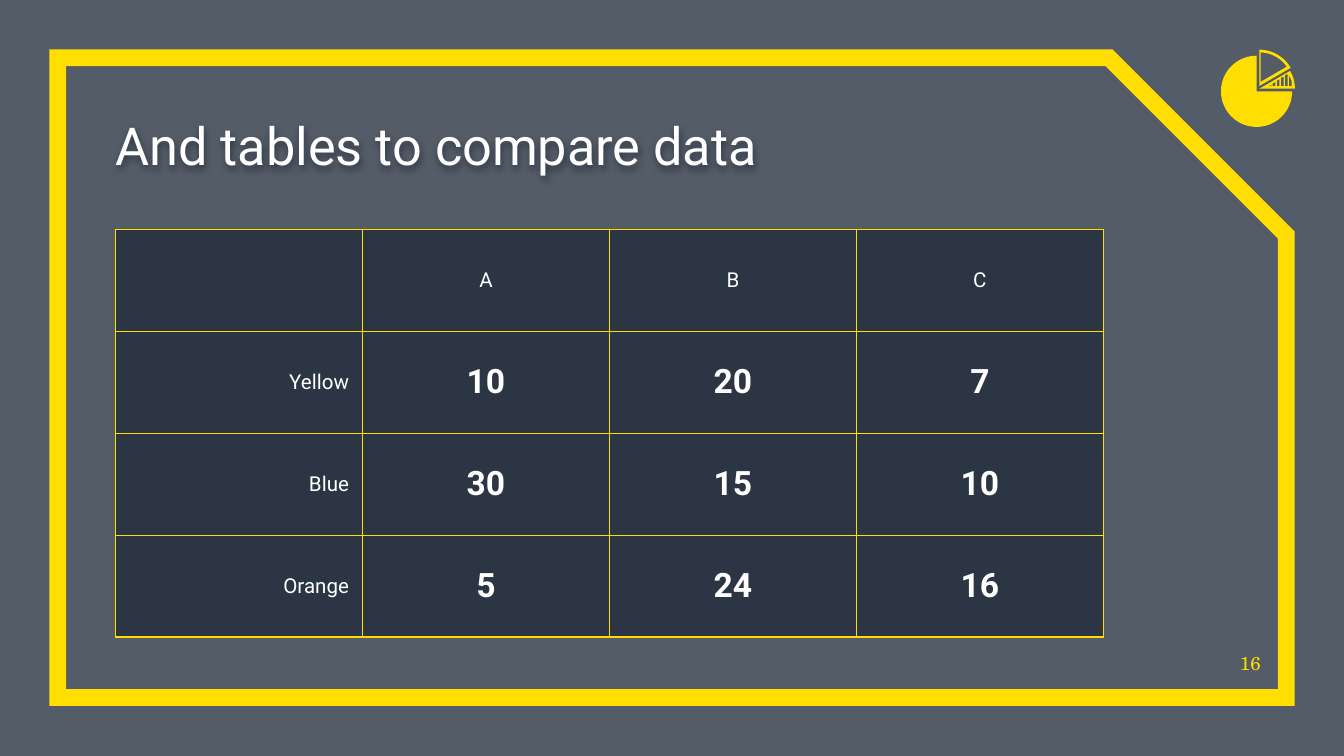
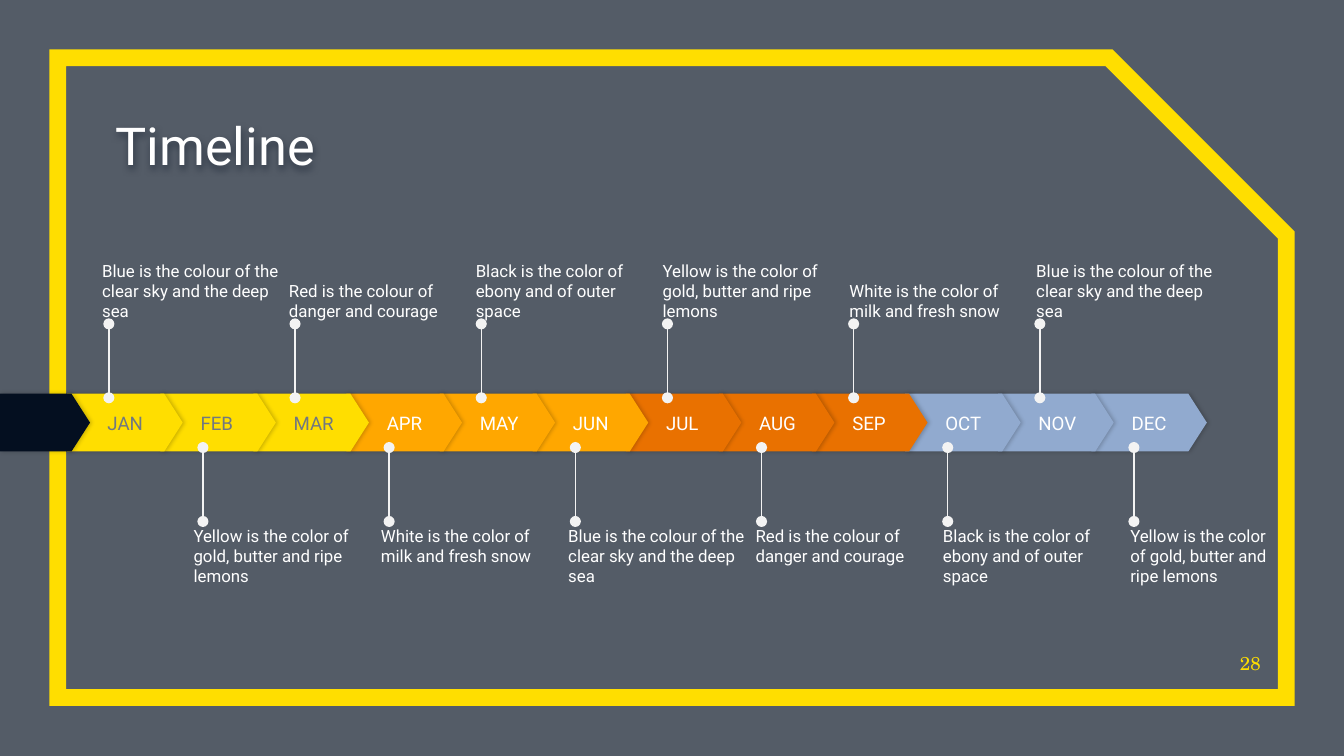
from dataclasses import dataclass
from math import cos, radians, sin

from lxml.etree import SubElement
from pptx import Presentation
from pptx.dml.color import RGBColor
from pptx.enum.shapes import MSO_CONNECTOR as Connector, MSO_SHAPE as Preset
from pptx.enum.text import MSO_ANCHOR as Anchor, PP_ALIGN as Align
from pptx.oxml.ns import qn
from pptx.util import Inches, Pt

COLORS = {
    "navy": "040F20",
    "yellow": "FFDE00",
    "amber": "FFA700",
    "orange": "E97100",
    "blue": "91AACF",
    "white": "FFFFFF",
    "grey": "717881",
    "stem": "F3F3F3",
    "black": "000000",
}
SANS = "Roboto"
SERIF = "TeX Gyre Schola"
PAGE_WIDTH = 10
PAGE_HEIGHT = PAGE_WIDTH * 9 / 16
MONTH_STEP = 7.62 / 11
CALLOUT_RIGHT = 9.5

SKY = "Blue is the colour of the clear sky and the deep sea"
DANGER = "Red is the colour of danger and courage"
EBONY = "Black is the color of ebony and of outer space"
GOLD = "Yellow is the color of gold, butter and ripe lemons"
MILK = "White is the color of milk and fresh snow"


@dataclass(frozen=True)
class Style:
    size: float
    color: str = "white"
    face: str = SANS
    bold: bool = False
    align: Align = Align.LEFT


@dataclass(frozen=True)
class Shadow:
    color: str
    alpha: int
    blur: float
    distance: float
    angle: int


@dataclass(frozen=True)
class Quarter:
    months: tuple[str, str, str]
    fill: str
    ink: str = "white"


@dataclass(frozen=True)
class CalloutRow:
    texts: tuple[str, ...]
    stem_left: float
    stem_start: float
    stem_end: float
    first_left: float
    last_left: float
    text_top: float
    anchor: Anchor


TITLE = Style(28)
NUMBER = Style(10, "yellow", SERIF, align=Align.RIGHT)
CALLOUT = Style(9)
COLUMN_LABEL = Style(11, align=Align.CENTER)
ROW_LABEL = Style(11, align=Align.RIGHT)
FIGURE = Style(18, bold=True, align=Align.CENTER)
TITLE_SHADOW = Shadow("navy", 50, 4, 1.5, 90)
ARROW_SHADOW = Shadow("black", 20, 2.2, 0.8, 0)

TABLE_ROWS = (
    ("", "A", "B", "C"),
    ("Yellow", "10", "20", "7"),
    ("Blue", "30", "15", "10"),
    ("Orange", "5", "24", "16"),
)
QUARTERS = (
    Quarter(("JAN", "FEB", "MAR"), "yellow", "grey"),
    Quarter(("APR", "MAY", "JUN"), "amber"),
    Quarter(("JUL", "AUG", "SEP"), "orange"),
    Quarter(("OCT", "NOV", "DEC"), "blue"),
)
CALLOUT_ROWS = (
    CalloutRow((SKY, DANGER, EBONY, GOLD, MILK, SKY),
               0.81, 2.96, 2.41, 0.76, 7.71, 1.81, Anchor.BOTTOM),
    CalloutRow((GOLD, MILK, SKY, DANGER, EBONY, GOLD),
               1.51, 3.88, 3.33, 1.44, 8.41, 3.91, Anchor.TOP),
)


def rgb(name: str) -> RGBColor:
    return RGBColor.from_string(COLORS[name])


def add_alpha(element, percent: int) -> None:
    color = next(element.iter(qn("a:srgbClr")))
    SubElement(color, qn("a:alpha"), val=str(percent * 1000))


def add_shadow(shape, shadow: Shadow) -> None:
    shape.shadow.inherit = False
    effects = shape.element.spPr.find(qn("a:effectLst"))
    outer = SubElement(effects, qn("a:outerShdw"), blurRad=str(Pt(shadow.blur)),
                       dist=str(Pt(shadow.distance)), dir=str(shadow.angle * 60000),
                       algn="bl", rotWithShape="0")
    SubElement(outer, qn("a:srgbClr"), val=COLORS[shadow.color])
    add_alpha(outer, shadow.alpha)


def write(frame, text: str, style: Style) -> None:
    para = frame.paragraphs[0]
    para.text = text
    para.alignment = style.align
    font = para.font
    font.name, font.size, font.bold = style.face, Pt(style.size), style.bold
    font.color.rgb = rgb(style.color)


def set_frame(frame, anchor: Anchor, left: float = 0) -> None:
    frame.word_wrap = True
    frame.vertical_anchor = anchor
    frame.margin_left = Inches(left)
    frame.margin_top = frame.margin_right = frame.margin_bottom = 0


def add_text(page, left: float, top: float, width: float, height: float,
             text: str, style: Style, anchor: Anchor = Anchor.BOTTOM):
    box = page.shapes.add_textbox(*map(Inches, (left, top, width, height)))
    set_frame(box.text_frame, anchor)
    write(box.text_frame, text, style)
    return box


def add_filled(page, preset: Preset, left: float, top: float, width: float,
               height: float, color: str):
    shape = page.shapes.add_shape(preset, *map(Inches, (left, top, width, height)))
    shape.shadow.inherit = False
    shape.fill.solid()
    shape.fill.fore_color.rgb = rgb(color)
    shape.line.fill.background()
    return shape


def add_page(deck, title: str, number: int):
    page = deck.slides.add_slide(deck.slide_layouts[6])
    veil = add_filled(page, Preset.RECTANGLE, 0, 0, PAGE_WIDTH, PAGE_HEIGHT, "navy")
    add_alpha(veil.element.spPr, 68)
    border = add_filled(page, Preset.SNIP_1_RECTANGLE, 0.43, 0.43, 9.14, 4.76, "navy")
    border.adjustments[0] = 0.277
    border.fill.background()
    border.line.color.rgb = rgb("yellow")
    border.line.width = Pt(9)
    SubElement(border.element.spPr.find(qn("a:ln")), qn("a:miter"), lim="800000")
    heading = add_text(page, 0.86, 0.78, 7.35, 0.53, title, TITLE)
    add_shadow(heading, TITLE_SHADOW)
    return page


def add_number(page, number: int) -> None:
    add_text(page, 9.11, 4.74, 0.27, 0.28, str(number), NUMBER)


def style_cell(cell) -> None:
    cell.vertical_anchor = Anchor.MIDDLE
    cell.margin_left = cell.margin_right = Inches(0.1)
    cell.margin_top = cell.margin_bottom = Inches(0.07)
    cell.fill.solid()
    cell.fill.fore_color.rgb = rgb("navy")
    properties = cell._tc.get_or_add_tcPr()
    add_alpha(properties, 50)
    for position, tag in enumerate(("a:lnL", "a:lnR", "a:lnT", "a:lnB")):
        edge = SubElement(properties, qn(tag), w=str(Pt(0.75)))
        paint = SubElement(edge, qn("a:solidFill"))
        SubElement(paint, qn("a:srgbClr"), val=COLORS["yellow"])
        properties.insert(position, edge)


def add_data_table(page) -> None:
    table = page.shapes.add_table(
        4, 4, Inches(0.86), Inches(1.71), Inches(7.35), Inches(3.03)).table
    table.first_row = table.horz_banding = False
    for row, values in enumerate(TABLE_ROWS):
        for column, value in enumerate(values):
            cell = table.cell(row, column)
            style_cell(cell)
            style = COLUMN_LABEL if row == 0 else FIGURE if column else ROW_LABEL
            write(cell.text_frame, value, style)


def arc(x: float, y: float, radius: float, start: int, stop: int) -> list:
    angles = map(radians, range(start, stop + 5, 5))
    return [(x + radius * cos(a), y + radius * sin(a)) for a in angles]


def add_outline(group, contours: list) -> None:
    scaled = [[(Inches(x), Inches(y)) for x, y in contour] for contour in contours]
    builder = group.shapes.build_freeform(*scaled[0][0])
    builder.add_line_segments(scaled[0][1:])
    for contour in scaled[1:]:
        builder.move_to(*contour[0])
        builder.add_line_segments(contour[1:])
    shape = builder.convert_to_shape()
    shape.shadow.inherit = False
    shape.fill.solid()
    shape.fill.fore_color.rgb = rgb("yellow")
    shape.line.fill.background()


def add_pie_icon(page) -> None:
    group = page.shapes.add_group_shape()
    add_outline(group, [[(9.35, 0.68)] + arc(9.35, 0.68, 0.265, 0, 270)])
    slits = []
    for index in range(5):
        left = 9.44 + 0.03 * index
        right = left + 0.02
        slits.append([(left, 0.64), (left, 0.64 - 0.02 * index),
                      (right, 0.63 - 0.02 * index), (right, 0.64)])
    tip = [(9.59, 0.64), (9.59, 0.56), (9.6, 0.58), (9.61, 0.6), (9.61, 0.64)]
    wedge = [(9.37, 0.66)] + arc(9.37, 0.66, 0.265, -30, 0)
    add_outline(group, [wedge, *slits, tip])
    add_outline(group, [
        [(9.37, 0.64)] + arc(9.37, 0.64, 0.27, -90, -30),
        [(9.38, 0.61), (9.38, 0.39)] + arc(9.37, 0.64, 0.25, -85, -35),
    ])


def add_arrow(page, left: float, width: float, color: str):
    arrow = add_filled(page, Preset.PENTAGON, left, 2.93, width, 0.43, color)
    arrow.adjustments[0] = 0.32
    add_shadow(arrow, ARROW_SHADOW)
    return arrow


def add_months(page) -> None:
    months = [(name, quarter) for quarter in QUARTERS for name in quarter.months]
    for index, (name, quarter) in reversed(list(enumerate(months))):
        arrow = add_arrow(page, 0.5 + MONTH_STEP * index, 0.86, quarter.fill)
        set_frame(arrow.text_frame, Anchor.MIDDLE, 0.3)
        write(arrow.text_frame, name, Style(10, quarter.ink))
    add_arrow(page, 0, 0.67, "navy")


def add_stem(page, x: float, start: float, end: float) -> None:
    stem = page.shapes.add_connector(
        Connector.STRAIGHT, Inches(x), Inches(start), Inches(x), Inches(end))
    stem.line.color.rgb = rgb("stem")
    stem.line.width = Pt(0.75)
    properties = stem.element.spPr
    line = properties.find(qn("a:ln"))
    for tag in ("a:headEnd", "a:tailEnd"):
        SubElement(line, qn(tag), type="oval")
    SubElement(properties, qn("a:effectLst"))


def add_callouts(page, row: CalloutRow) -> None:
    text_step = (row.last_left - row.first_left) / (len(row.texts) - 1)
    for index, text in enumerate(row.texts):
        add_stem(page, row.stem_left + 2 * MONTH_STEP * index,
                 row.stem_start, row.stem_end)
        left = row.first_left + text_step * index
        width = min(1.31, CALLOUT_RIGHT - left)
        add_text(page, left, row.text_top, width, 0.58, text, CALLOUT, row.anchor)


def main() -> None:
    deck = Presentation()
    deck.slide_width, deck.slide_height = Inches(PAGE_WIDTH), Inches(PAGE_HEIGHT)

    table_page = add_page(deck, "And tables to compare data", 16)
    add_data_table(table_page)
    add_number(table_page, 16)
    add_pie_icon(table_page)

    timeline_page = add_page(deck, "Timeline", 28)
    add_number(timeline_page, 28)
    add_months(timeline_page)
    for row in CALLOUT_ROWS:
        add_callouts(timeline_page, row)

    deck.save("out.pptx")


if __name__ == "__main__":
    main()
